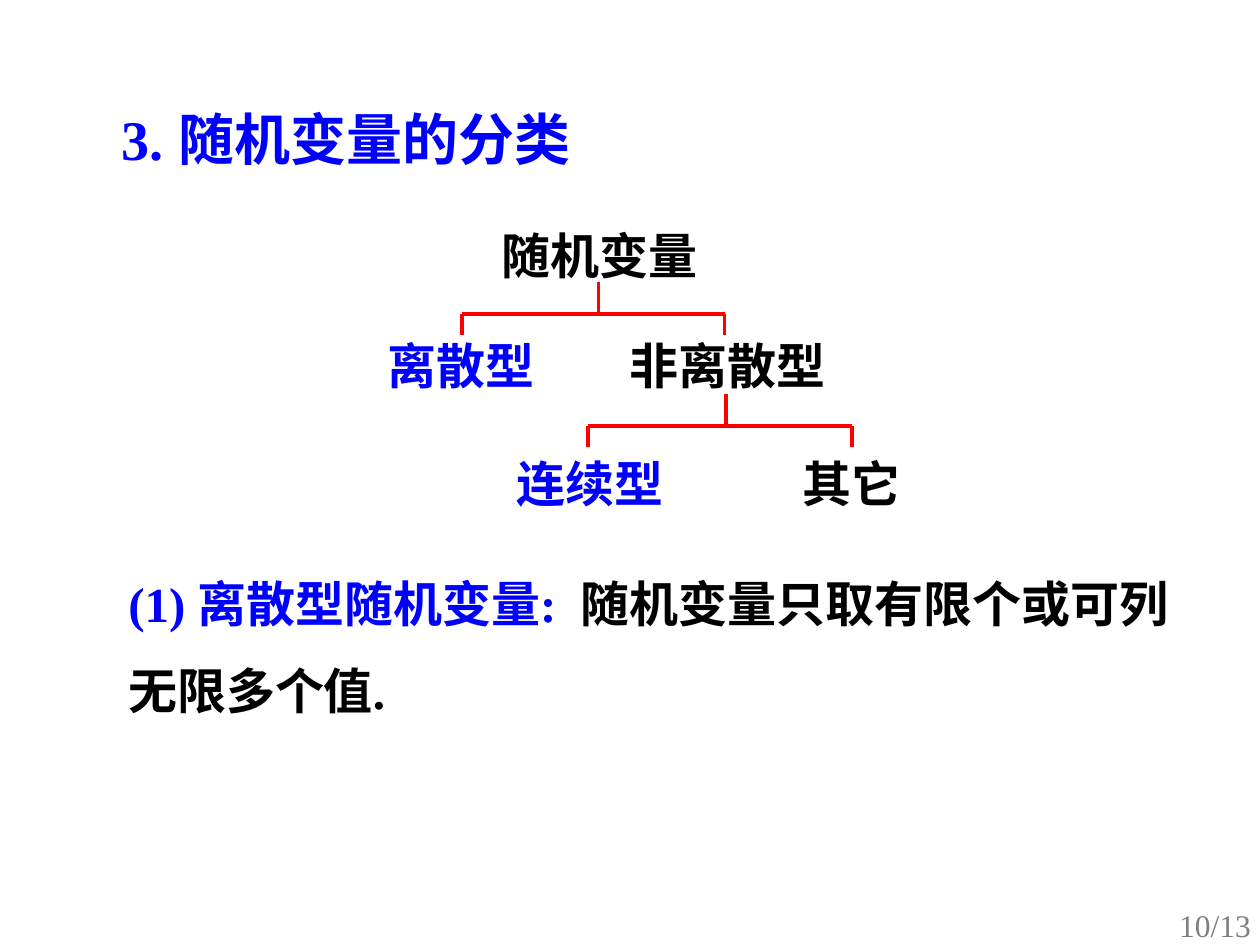
from typing import NamedTuple

from lxml import etree
from pptx import Presentation
from pptx.dml.color import RGBColor
from pptx.enum import shapes, text
from pptx.oxml import ns
from pptx.util import Inches, Pt

LATIN, HAN = "Times New Roman", "Noto Sans CJK SC"
BLUE, BLACK, RED, GREY = "0000FF", "000000", "FF0000", "7F7F7F"


class Span(NamedTuple):
    words: str
    font: str = LATIN
    color: str = BLACK


class Block(NamedTuple):
    left: float
    top: float
    width: float
    height: float
    lines: list[list[Span]]
    size: int = 28
    bold: bool = True
    wrap: bool = False


class Fork(NamedTuple):
    left: float
    stem: float
    right: float
    bar: float


def rgb(color: str) -> RGBColor:
    return RGBColor.from_string(color)


def node(label: str, left: float, top: float, width: float, color: str) -> Block:
    return Block(left, top, width, 0.57, [[Span(label, LATIN, color)]])


def draw_block(slide, block: Block) -> None:
    box = slide.shapes.add_textbox(Inches(block.left), Inches(block.top),
                                   Inches(block.width), Inches(block.height))
    frame = box.text_frame
    frame.word_wrap = block.wrap
    frame.auto_size = text.MSO_AUTO_SIZE.SHAPE_TO_FIT_TEXT
    for index, spans in enumerate(block.lines):
        line = frame.add_paragraph() if index else frame.paragraphs[0]
        if len(block.lines) > 1:
            line.line_spacing = 0.95
            # Hanging indent: every line begins at the left edge
            properties = line._p.get_or_add_pPr()
            properties.set("marL", str(Inches(0.5)))
            properties.set("indent", str(-Inches(0.5)))
        if index:
            line.space_before = Pt(17.5)
        for span in spans:
            run = line.add_run()
            run.text = span.words
            run.font.name = span.font
            run.font.size = Pt(block.size)
            run.font.bold = block.bold
            run.font.color.rgb = rgb(span.color)
            east_asian = etree.SubElement(run._r.get_or_add_rPr(), ns.qn("a:ea"))
            east_asian.set("typeface", HAN)


def draw_line(slide, x1: float, y1: float, x2: float, y2: float) -> None:
    branch = slide.shapes.add_connector(shapes.MSO_CONNECTOR.STRAIGHT, Inches(x1),
                                        Inches(y1), Inches(x2), Inches(y2))
    branch.line.color.rgb = rgb(RED)
    branch.line.width = Pt(2.25)
    etree.SubElement(branch._element.spPr, ns.qn("a:effectLst"))


def draw_fork(slide, fork: Fork) -> None:
    draw_line(slide, fork.left, fork.bar, fork.right, fork.bar)
    for x in (fork.left, fork.right):
        draw_line(slide, x, fork.bar, x, fork.bar + 0.17)
    draw_line(slide, fork.stem, fork.bar, fork.stem, fork.bar - 0.25)


HEADING = Block(0.87, 0.78, 3.9, 0.64, [
    [Span("3. ", LATIN, BLUE), Span("随机变量的分类", HAN, BLUE)]], size=32)

# Widths leave a little slack so that each label stays on one line
TREE = [
    node("随机变量", 3.88, 1.74, 1.78, BLACK),
    node("离散型", 2.98, 2.61, 1.4, BLUE),
    node("非离散型", 4.9, 2.61, 1.78, BLACK),
    node("连续型", 4, 3.55, 1.4, BLUE),
    node("其它", 6.27, 3.55, 1, BLACK),
]
FORKS = [Fork(3.67, 4.75, 5.75, 2.49), Fork(4.67, 5.76, 6.76, 3.38)]

DEFINITION = Block(0.92, 4.54, 8.83, 1.68, [
    [Span("(1) ", LATIN, BLUE), Span("离散型随机变量", HAN, BLUE),
     Span(":  ", LATIN, BLUE), Span("随机变量只取有限个或可列", HAN)],
    [Span("无限多个值", HAN), Span(".")],
], wrap=True)

PAGE_NUMBER = Block(9.26, 7.14, 0.79, 1, [[Span("10/13", LATIN, GREY)]],
                    size=18, bold=False, wrap=True)


def main() -> None:
    deck = Presentation()
    deck.slide_width, deck.slide_height = Inches(10), Inches(7.5)
    slide = deck.slides.add_slide(deck.slide_layouts[6])

    # Heading, classification tree, definition and page number
    for block in [HEADING, *TREE, DEFINITION, PAGE_NUMBER]:
        draw_block(slide, block)

    # Branches of the tree
    for fork in FORKS:
        draw_fork(slide, fork)

    deck.save("out.pptx")


if __name__ == "__main__":
    main()
